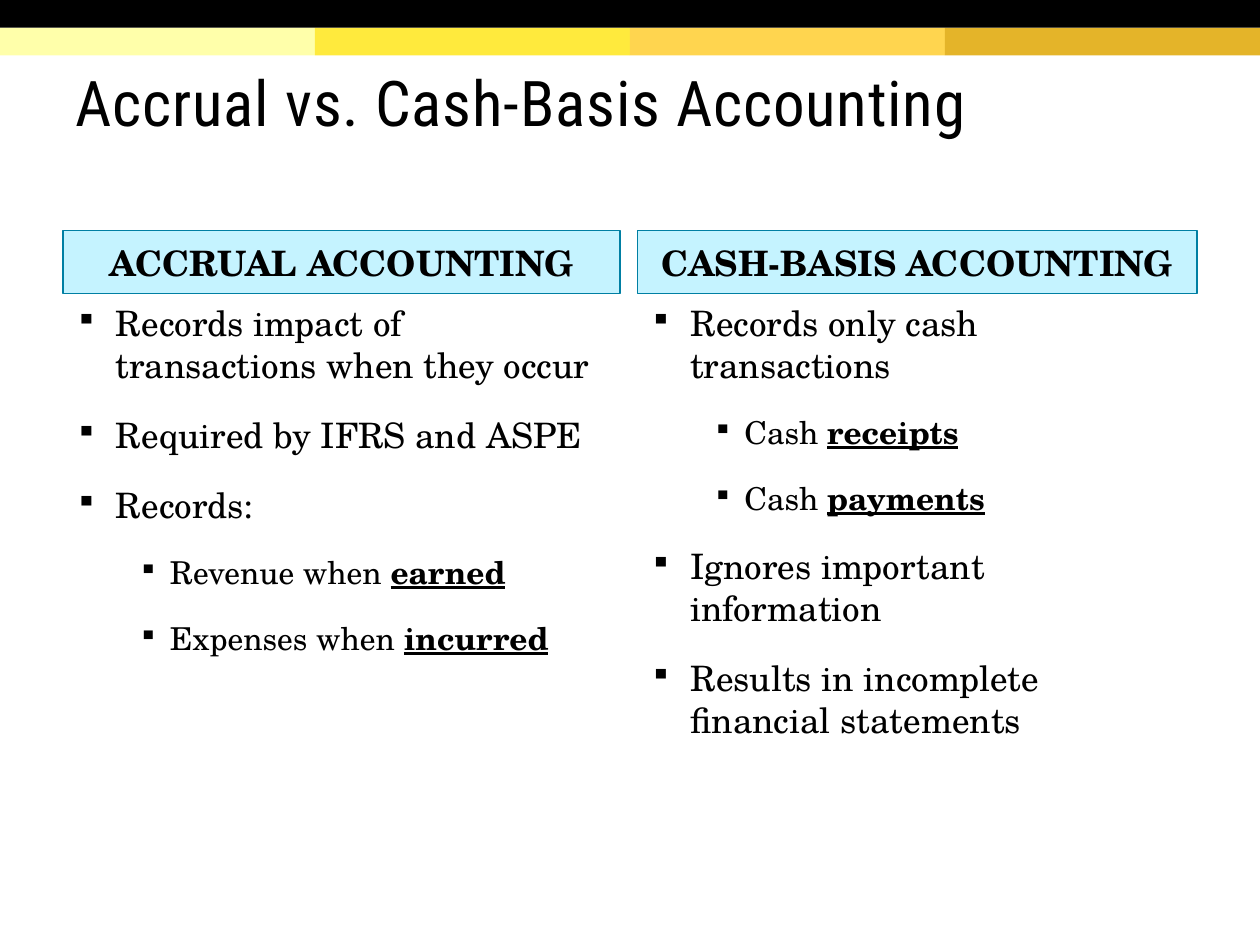
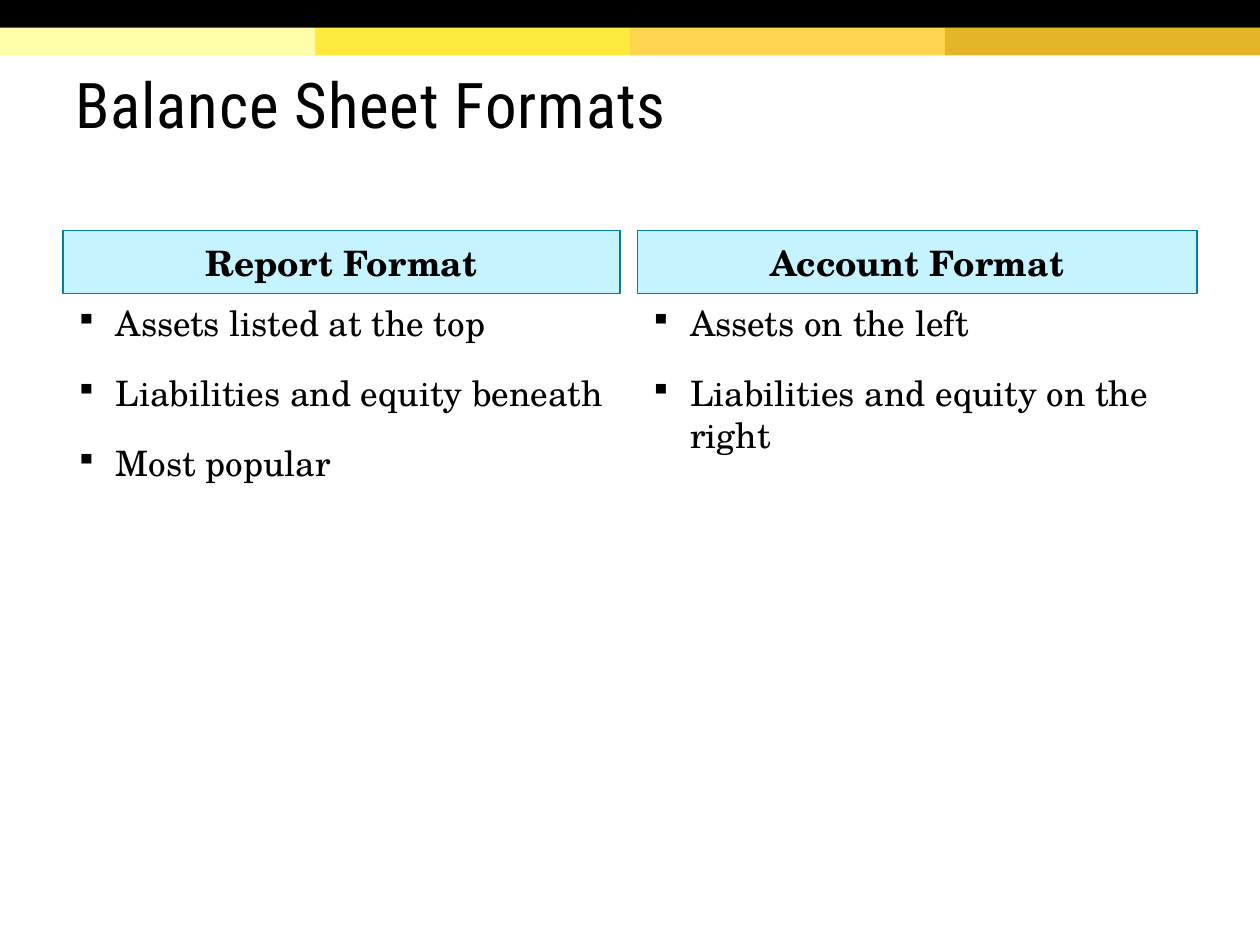
from dataclasses import dataclass

from lxml import etree
from pptx import Presentation
from pptx.dml.color import RGBColor
from pptx.enum.shapes import MSO_SHAPE
from pptx.enum.text import MSO_ANCHOR, PP_ALIGN
from pptx.oxml.ns import qn
from pptx.shapes.autoshape import Shape
from pptx.slide import Slide
from pptx.util import Inches, Pt

RECT = MSO_SHAPE.RECTANGLE
MIDDLE = MSO_ANCHOR.MIDDLE
TOP = MSO_ANCHOR.TOP
CENTER = PP_ALIGN.CENTER
LEFT = PP_ALIGN.LEFT

COLORS = {
    "ink": "000000",
    "cream": "FFFFAA",
    "lemon": "FFEA3D",
    "amber": "FFD54F",
    "gold": "E4B429",
    "ice": "C5F3FF",
    "teal": "007FA3",
}
STRIPES = ("cream", "lemon", "amber", "gold")
BAND = 0.22
WIDTH = 10
HEAD_FONT = "Roboto Condensed"
BODY_FONT = "TeX Gyre Schola"

TITLE = {"name": HEAD_FONT, "size": Pt(36)}
HEADER = {"name": BODY_FONT, "size": Pt(20), "bold": True}
STRONG = {"bold": True, "underline": True}


@dataclass(frozen=True)
class Level:
    margin: float
    hang: float
    size: int


@dataclass(frozen=True)
class Point:
    text: str
    key: str = ""
    depth: int = 0


@dataclass(frozen=True)
class Column:
    header: str
    points: tuple[Point, ...]


@dataclass(frozen=True)
class Page:
    title: str
    top: float
    columns: tuple[Column, Column]


LEVELS = (Level(0.32, 0.32, 20), Level(0.75, 0.25, 18))
SPANS = ((0.5, 4.42), (5.06, 4.44))

PAGES = (
    Page("Accrual vs. Cash-Basis Accounting", 0.23, (
        Column("ACCRUAL ACCOUNTING", (
            Point("Records impact of transactions when they occur"),
            Point("Required by IFRS and ASPE"),
            Point("Records:"),
            Point("Revenue when ", "earned", 1),
            Point("Expenses when ", "incurred", 1),
        )),
        Column("CASH-BASIS ACCOUNTING", (
            Point("Records only cash transactions"),
            Point("Cash ", "receipts", 1),
            Point("Cash ", "payments", 1),
            Point("Ignores important information"),
            Point("Results in incomplete financial statements"),
        )),
    )),
    Page("Balance Sheet Formats", 0.24, (
        Column("Report Format", (
            Point("Assets listed at the top"),
            Point("Liabilities and equity beneath"),
            Point("Most popular"),
        )),
        Column("Account Format", (
            Point("Assets on the left"),
            Point("Liabilities and equity on the right"),
        )),
    )),
)


def tint(name: str) -> RGBColor:
    return RGBColor.from_string(COLORS[name])


def add_run(para, text: str, style: dict):
    run = para.add_run()
    run.text = text
    for key, value in style.items():
        setattr(run.font, key, value)
    run.font.color.rgb = tint("ink")
    return run


def add_rect(slide: Slide, left: float, top: float, width: float,
             height: float, fill: str, line: str = "") -> Shape:
    rect = slide.shapes.add_shape(
        RECT, Inches(left), Inches(top), Inches(width), Inches(height))
    rect.shadow.inherit = False
    rect.fill.solid()
    rect.fill.fore_color.rgb = tint(fill)
    if line:
        rect.line.color.rgb = tint(line)
        rect.line.width = Pt(0.75)
    else:
        rect.line.fill.background()
    return rect


def add_box(slide: Slide, left: float, top: float, width: float,
            height: float, anchor: MSO_ANCHOR):
    box = slide.shapes.add_textbox(
        Inches(left), Inches(top), Inches(width), Inches(height))
    frame = box.text_frame
    frame.word_wrap = True
    frame.vertical_anchor = anchor
    return frame


def add_bands(slide: Slide) -> None:
    step = WIDTH / len(STRIPES)
    for i, name in enumerate(STRIPES):
        add_rect(slide, i * step, BAND, step, BAND, name)
    add_rect(slide, 0, 0, WIDTH, BAND, "ink")


def add_title(slide: Slide, page: Page) -> None:
    frame = add_box(slide, 0.5, page.top, 9, 1.2, MIDDLE)
    frame.margin_top = Inches(0.1)
    para = frame.paragraphs[0]
    para.line_spacing = 0.85
    run = add_run(para, page.title, TITLE)
    run.font._element.set("spc", "50")


def add_bullet(para, level: Level) -> None:
    props = para._p.get_or_add_pPr()
    props.set("marL", str(Inches(level.margin)))
    props.set("indent", str(-Inches(level.hang)))
    color = etree.SubElement(props, qn("a:buClr"))
    etree.SubElement(color, qn("a:srgbClr"), val=COLORS["ink"])
    etree.SubElement(props, qn("a:buSzPct"), val="85000")
    etree.SubElement(props, qn("a:buChar"), char="▪")


def add_points(slide: Slide, left: float, width: float,
               points: tuple[Point, ...]) -> None:
    frame = add_box(slide, left, 2.34, width, 4.03, TOP)
    for i, point in enumerate(points):
        para = frame.add_paragraph() if i else frame.paragraphs[0]
        level = LEVELS[point.depth]
        add_bullet(para, level)
        para.level = point.depth
        para.alignment = LEFT
        para.space_before = Pt(8 if i else 0)
        para.space_after = Pt(8)
        style = {"name": BODY_FONT, "size": Pt(level.size)}
        add_run(para, point.text, style)
        if point.key:
            add_run(para, point.key, style | STRONG)


def add_column(slide: Slide, left: float, width: float, col: Column) -> None:
    rect = add_rect(slide, left, 1.83, width, 0.5, "ice", "teal")
    frame = rect.text_frame
    frame.word_wrap = True
    frame.vertical_anchor = MIDDLE
    para = frame.paragraphs[0]
    para.alignment = CENTER
    add_run(para, col.header, HEADER)
    add_points(slide, left, width, col.points)


def main() -> None:
    deck = Presentation()
    deck.slide_width = Inches(WIDTH)
    deck.slide_height = Inches(7.5)
    for page in PAGES:
        slide = deck.slides.add_slide(deck.slide_layouts[6])
        add_bands(slide)
        add_title(slide, page)
        for (left, width), col in zip(SPANS, page.columns):
            add_column(slide, left, width, col)
    deck.save("out.pptx")


if __name__ == "__main__":
    main()
